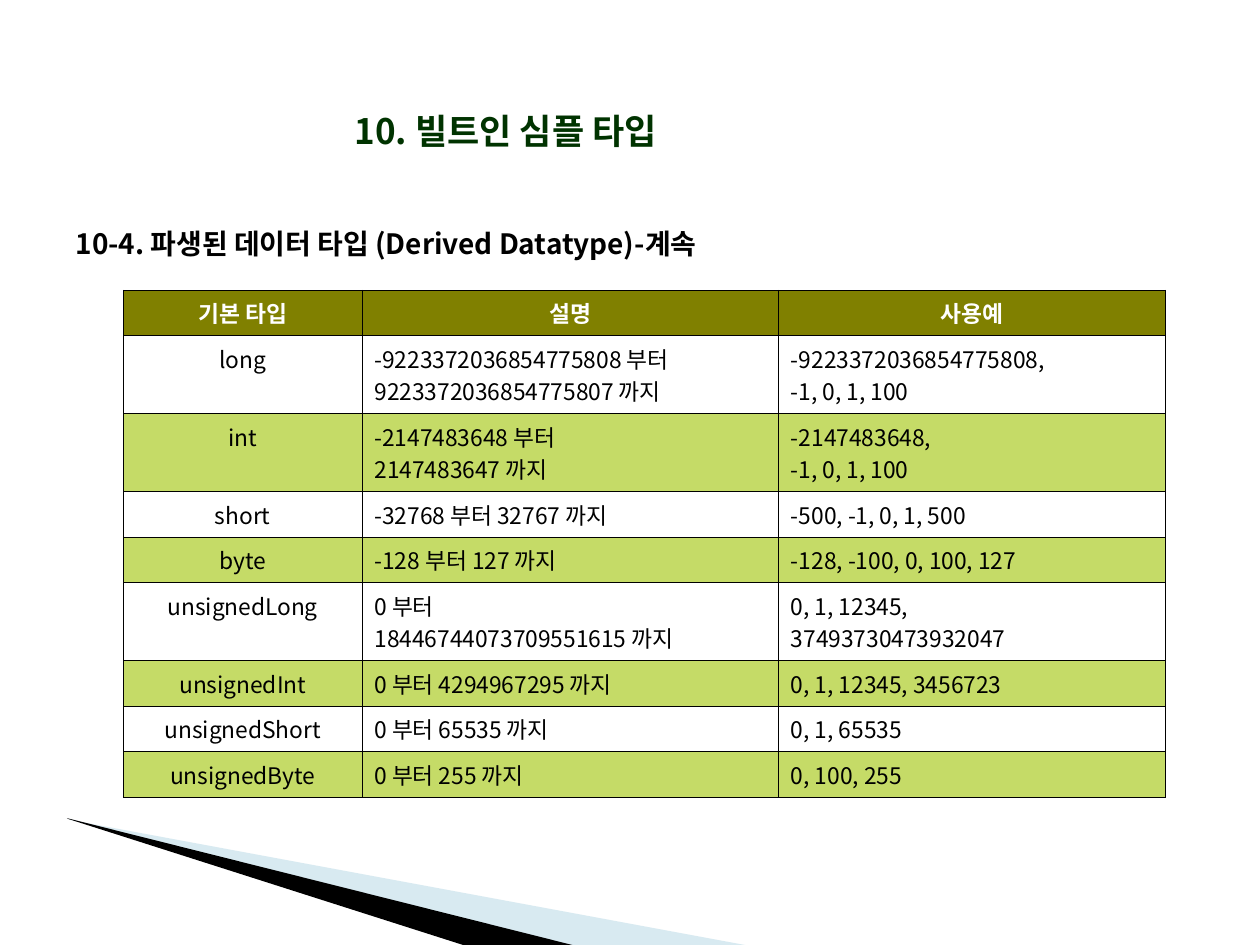
import pptx
import pptx.util
import pptx.dml.color
import pptx.enum.text
import pptx.oxml.ns
import lxml.etree

Pt = pptx.util.Pt
RGBColor = pptx.dml.color.RGBColor
ALIGN = pptx.enum.text.PP_ALIGN
ANCHOR = pptx.enum.text.MSO_ANCHOR
qn = pptx.oxml.ns.qn

FONT = "Noto Sans CJK KR"
BLACK = RGBColor(0x00, 0x00, 0x00)
WHITE = RGBColor(0xFF, 0xFF, 0xFF)
DARK_GREEN = RGBColor(0x00, 0x33, 0x00)
OLIVE = RGBColor(0x80, 0x80, 0x00)
LIME = RGBColor(0xC5, 0xDB, 0x67)
PALE_BLUE = RGBColor(0x9F, 0xCB, 0xDC)


def write(tf, text, size=13, color=BLACK, bold=False, align=ALIGN.LEFT):
    """Fill a text frame, one paragraph per line of text."""
    tf.text = text
    for p in tf.paragraphs:
        p.alignment = align
        p.space_before = Pt(0)
        for r in p.runs:
            r.font.name = FONT
            r.font.size = Pt(size)
            r.font.bold = bold
            r.font.color.rgb = color
            lxml.etree.SubElement(r.font._element, qn("a:ea"), typeface=FONT)


def add_border(cell, color=BLACK, width=0.45):
    """Draw all four edges of a table cell."""
    tcPr = cell._tc.get_or_add_tcPr()
    for edge in ("a:lnL", "a:lnR", "a:lnT", "a:lnB"):
        ln = lxml.etree.SubElement(tcPr, qn(edge), w=str(int(Pt(width))))
        fill = lxml.etree.SubElement(ln, qn("a:solidFill"))
        lxml.etree.SubElement(fill, qn("a:srgbClr"), val=str(color))


prs = pptx.Presentation()
prs.slide_width, prs.slide_height = Pt(720), Pt(540)
s = prs.slides.add_slide(prs.slide_layouts[1])

# Wedges in the bottom corner: points, colour, opacity in percent
wedges = [
    ([(39.6, 468.5), (428.4, 540.5), (328.3, 540.5), (39.6, 468)], PALE_BLUE, 40),
    ([(38.2, 467.5), (329, 540.5), (267.8, 541), (39, 468)], BLACK, 100),
]
for points, color, opacity in wedges:
    points = [(Pt(x), Pt(y)) for x, y in points]
    builder = s.shapes.build_freeform(*points[0])
    builder.add_line_segments(points[1:], close=True)
    sp = builder.convert_to_shape()
    sp.shadow.inherit = False
    sp.line.fill.background()
    sp.fill.solid()
    sp.fill.fore_color.rgb = color
    if opacity < 100:
        clr = sp._element.spPr.find(".//" + qn("a:srgbClr"))
        lxml.etree.SubElement(clr, qn("a:alpha"), val=str(opacity * 1000))

# Title and section heading
title, heading = s.shapes.title, s.placeholders[1]
for sp, box, anchor in ((title, (82, 54.7, 414, 39.6), ANCHOR.MIDDLE),
                        (heading, (36, 126, 647, 25.2), ANCHOR.TOP)):
    sp.left, sp.top, sp.width, sp.height = [Pt(v) for v in box]
    sp.text_frame.auto_size = pptx.enum.text.MSO_AUTO_SIZE.NONE
    sp.text_frame.vertical_anchor = anchor
    sp.text_frame.word_wrap = True
write(title.text_frame, "10. 빌트인 심플 타입", size=20, color=DARK_GREEN,
      bold=True, align=ALIGN.CENTER)
write(heading.text_frame, "10-4. 파생된 데이터 타입 (Derived Datatype)-계속",
      size=16, bold=True)
pPr = heading.text_frame.paragraphs[0]._p.get_or_add_pPr()
pPr.set("marL", str(int(Pt(27))))
pPr.set("indent", str(int(Pt(-27))))
lxml.etree.SubElement(pPr, qn("a:buNone"))

# Table of derived types
rows = [
    ("기본 타입", "설명", "사용예"),
    ("long", "-9223372036854775808 부터\n9223372036854775807 까지",
     "-9223372036854775808,\n-1, 0, 1, 100"),
    ("int", "-2147483648 부터\n2147483647 까지", "-2147483648,\n-1, 0, 1, 100"),
    ("short", "-32768 부터 32767 까지", "-500, -1, 0, 1, 500"),
    ("byte", "-128 부터 127 까지", "-128, -100, 0, 100, 127"),
    ("unsignedLong", "0 부터\n18446744073709551615 까지",
     "0, 1, 12345,\n37493730473932047"),
    ("unsignedInt", "0 부터 4294967295 까지", "0, 1, 12345, 3456723"),
    ("unsignedShort", "0 부터 65535 까지", "0, 1, 65535"),
    ("unsignedByte", "0 부터 255 까지", "0, 100, 255"),
]
widths = [136.3, 238, 221.2]
heights = [39 if "\n" in row[1] else 23 for row in rows]
table = s.shapes.add_table(len(rows), len(widths), Pt(70.5), Pt(165.8),
                           Pt(sum(widths)), Pt(sum(heights))).table
for column, width in zip(table.columns, widths):
    column.width = Pt(width)
for i, row in enumerate(rows):
    table.rows[i].height = Pt(heights[i])
    header = i == 0
    for j, text in enumerate(row):
        cell = table.cell(i, j)
        add_border(cell)
        if header or i % 2 == 0:
            cell.fill.solid()
            cell.fill.fore_color.rgb = OLIVE if header else LIME
        else:
            cell.fill.background()
        write(cell.text_frame, text, color=WHITE if header else BLACK, bold=header,
              align=ALIGN.CENTER if header or j == 0 else ALIGN.LEFT)

prs.save("out.pptx")
